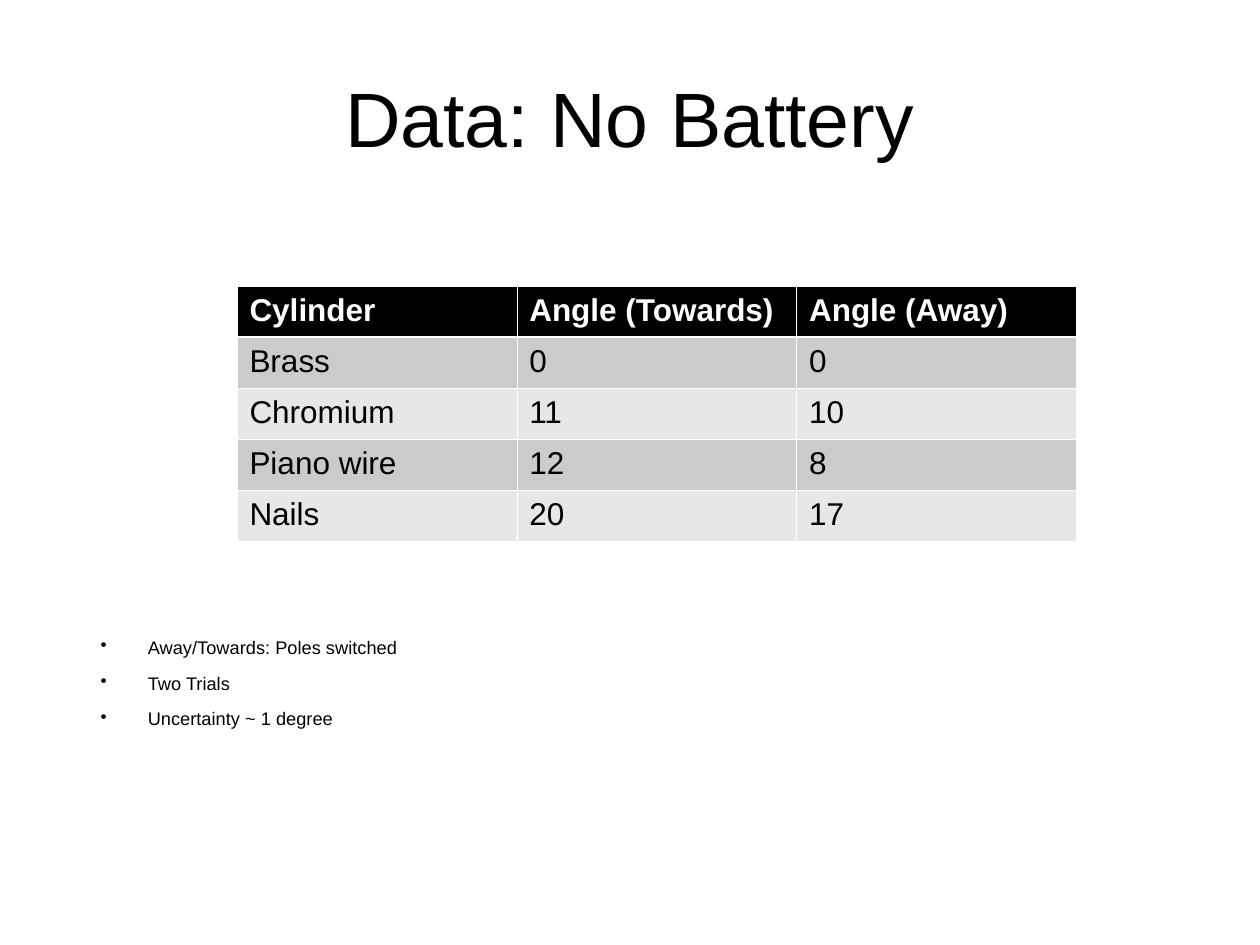
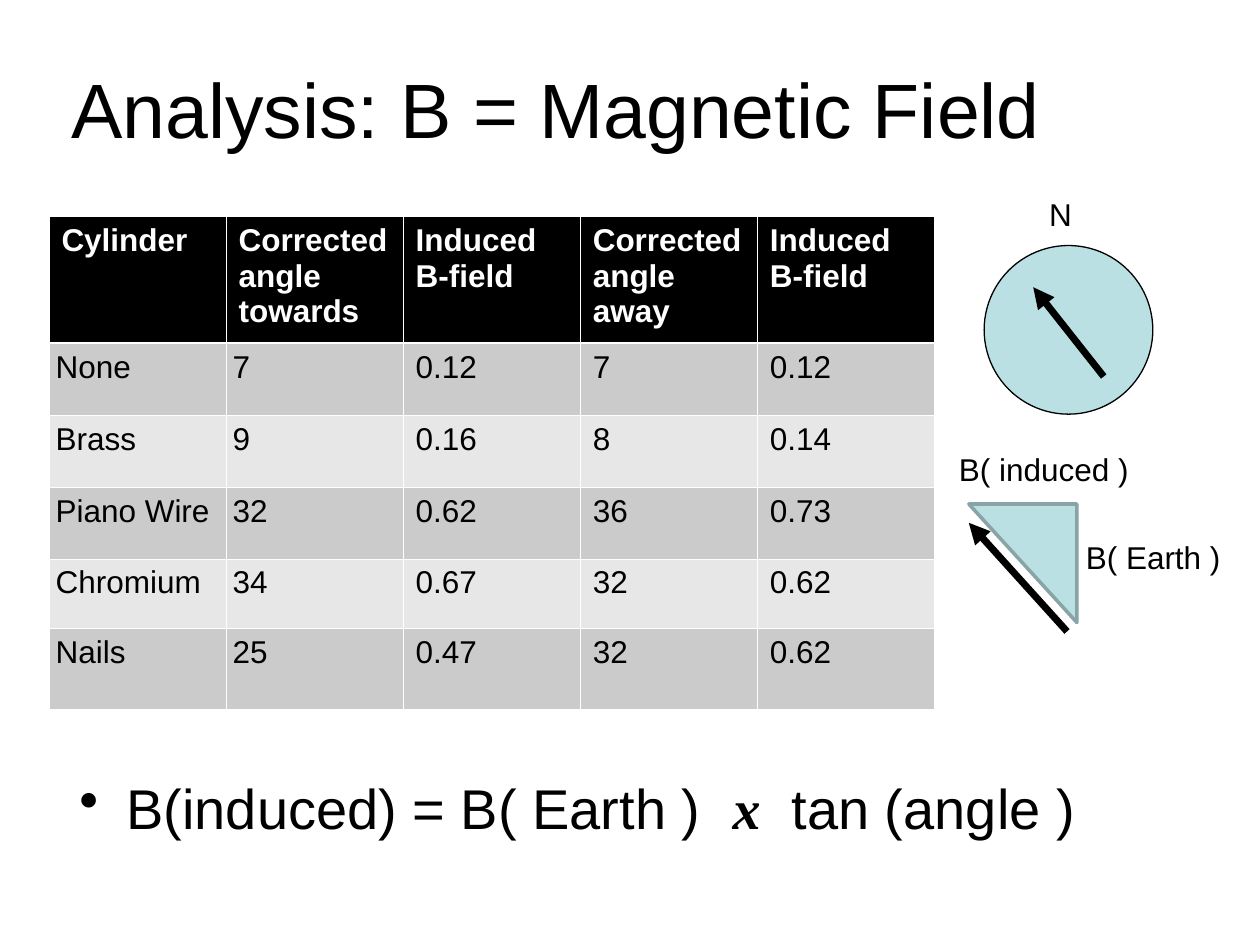
from lxml.etree import SubElement
from pptx import Presentation
from pptx.dml.color import RGBColor
from pptx.enum.shapes import MSO_CONNECTOR, MSO_SHAPE
from pptx.enum.text import MSO_ANCHOR, PP_ALIGN
from pptx.oxml.ns import qn
from pptx.util import Cm, Pt

HUES = {
    "ink": "000000",
    "paper": "FFFFFF",
    "dark": "CBCBCB",
    "light": "E7E7E7",
    "aqua": "BBE0E3",
    "edge": "89A4A7",
}
TONES = {name: RGBColor.from_string(code) for name, code in HUES.items()}
FACE = "Arial"


def put(frame, lines, size, hue="ink", bold=False, dot=False):
    for i, line in enumerate(lines):
        par = frame.paragraphs[0] if i == 0 else frame.add_paragraph()
        par.text = line
        if dot:
            props = par._p.get_or_add_pPr()
            props.set("marL", str(Cm(0.95)))
            props.set("indent", str(-Cm(0.95)))
            SubElement(props, qn("a:buChar"), char="•")
            if i:
                par.space_before = Pt(8)
        par.font.name = FACE
        par.font.size = Pt(size)
        par.font.bold = bold
        par.font.color.rgb = TONES[hue]


def grid(slide, left, top, wide, highs, rows, tight=0):
    count = len(rows[0])
    table = slide.shapes.add_table(
        len(rows), count, Cm(left), Cm(top), Cm(wide * count), Cm(sum(highs))
    ).table
    for col in table.columns:
        col.width = Cm(wide)
    for r, row in enumerate(rows):
        table.rows[r].height = Cm(highs[r])
        for c, word in enumerate(row):
            cell = table.cell(r, c)
            side = 0.13 if r and c < tight else 0.25
            cell.margin_left = cell.margin_right = Cm(side)
            cell.margin_top = cell.margin_bottom = Cm(0.13)
            props = cell._tc.get_or_add_tcPr()
            for tag in ("lnL", "lnR", "lnT", "lnB"):
                thick = (r, tag) in ((0, "lnB"), (1, "lnT"))
                line = SubElement(props, qn(f"a:{tag}"), w=str(Pt(1.47 if thick else 0.45)))
                fill = SubElement(line, qn("a:solidFill"))
                SubElement(fill, qn("a:srgbClr"), val=HUES["paper"])
            cell.fill.solid()
            shade = "ink" if r == 0 else "dark" if r % 2 else "light"
            cell.fill.fore_color.rgb = TONES[shade]
            put(cell.text_frame, [word], 18, "ink" if r else "paper", r == 0)


deck = Presentation()
deck.slide_width, deck.slide_height = Cm(25.4), Cm(19.05)

heads = [
    ("Data: No Battery", 1.27, 0.76, PP_ALIGN.CENTER),
    ("Analysis: B = Magnetic Field", 1.19, 0.58, PP_ALIGN.LEFT),
]
for words, left, top, align in heads:
    slide = deck.slides.add_slide(deck.slide_layouts[6])
    frame = slide.shapes.add_textbox(Cm(left), Cm(top), Cm(22.86), Cm(3.18)).text_frame
    frame.word_wrap = True
    frame.vertical_anchor = MSO_ANCHOR.MIDDLE
    put(frame, [words], 44)
    frame.paragraphs[0].alignment = align
data, study = deck.slides

notes = data.shapes.add_textbox(Cm(1.78), Cm(12.7), Cm(22.86), Cm(2.34)).text_frame
notes.word_wrap = True
put(notes, ["Away/Towards: Poles switched", "Two Trials", "Uncertainty ~ 1 degree"], 10.4, dot=True)

grid(data, 4.78, 5.77, 5.64, [1.03] * 5, [
    ("Cylinder", "Angle (Towards)", "Angle (Away)"),
    ("Brass", "0", "0"),
    ("Chromium", "11", "10"),
    ("Piano wire", "12", "8"),
    ("Nails", "20", "17"),
])

rule = study.shapes.add_textbox(Cm(1.35), Cm(15.47), Cm(22.86), Cm(2.92)).text_frame
rule.word_wrap = True
put(rule, [""], 32, dot=True)
parts = [("B(induced) = B( Earth )  ", False), ("x", True), ("  tan (angle )", False)]
for words, sign in parts:
    run = rule.paragraphs[0].add_run()
    run.text = words
    run.font.size = Pt(32)
    run.font.name = "Times New Roman" if sign else FACE
    run.font.bold = run.font.italic = sign

forms = [
    (MSO_SHAPE.OVAL, 19.84, 4.95, 3.4, 3.4, 0, "ink", 0.75),
    (MSO_SHAPE.RIGHT_TRIANGLE, 19.53, 10.16, 2.18, 2.39, 180, "edge", 2),
]
for kind, left, top, wide, high, turn, hue, width in forms:
    form = study.shapes.add_shape(kind, Cm(left), Cm(top), Cm(wide), Cm(high))
    form.shadow.inherit = False
    form.rotation = turn
    form.fill.solid()
    form.fill.fore_color.rgb = TONES["aqua"]
    form.line.color.rgb = TONES[hue]
    form.line.width = Pt(width)

for ends in [(22.25, 7.59, 20.83, 5.79), (21.51, 12.73, 19.53, 10.54)]:
    arrow = study.shapes.add_connector(MSO_CONNECTOR.STRAIGHT, *map(Cm, ends))
    arrow.line.color.rgb = TONES["ink"]
    arrow.line.width = Pt(4)
    SubElement(arrow.line._get_or_add_ln(), qn("a:tailEnd"), type="triangle")
    SubElement(arrow._element.spPr, qn("a:effectLst"))

labels = [
    ("N", 20.9, 3.81, 0.97),
    ("B( Earth )", 21.64, 10.72, 3.23),
    ("B( induced )", 19.08, 8.94, 3.94),
]
for words, left, top, wide in labels:
    frame = study.shapes.add_textbox(Cm(left), Cm(top), Cm(wide), Cm(1.02)).text_frame
    frame.word_wrap = False
    put(frame, [words], 18)

grid(study, 0.99, 4.37, 3.57, [2.54, 1.45, 1.45, 1.45, 1.4, 1.63], [
    ("Cylinder", "Corrected angle towards", "Induced B-field", "Corrected angle away", "Induced B-field"),
    ("None", "7", "0.12", "7", "0.12"),
    ("Brass", "9", "0.16", "8", "0.14"),
    ("Piano Wire", "32", "0.62", "36", "0.73"),
    ("Chromium", "34", "0.67", "32", "0.62"),
    ("Nails", "25", "0.47", "32", "0.62"),
], tight=2)

deck.save("out.pptx")
